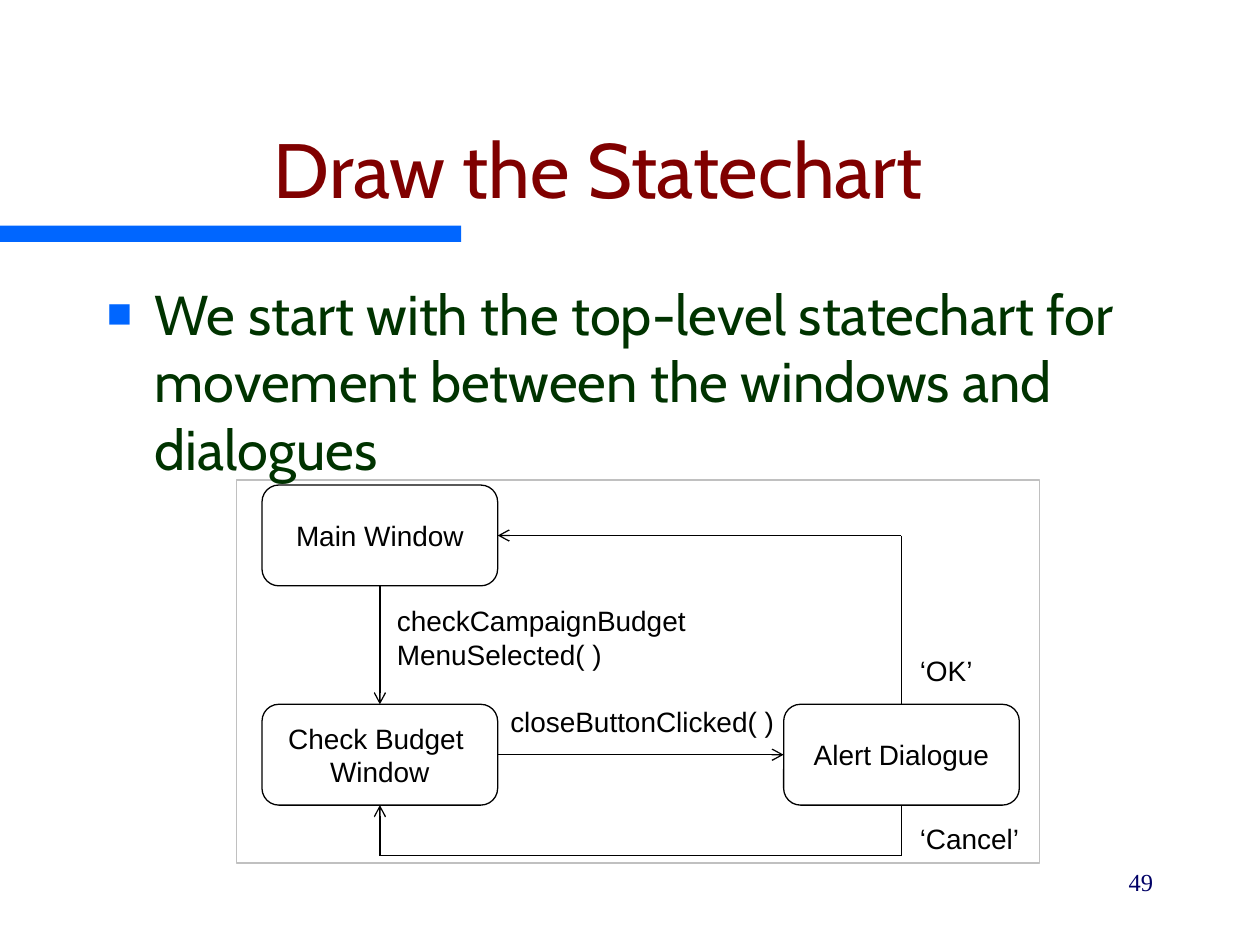
from itertools import pairwise
from lxml import etree
from pptx import Presentation
from pptx import util as u
from pptx.dml.color import RGBColor
from pptx.enum import shapes, text
from pptx.oxml.ns import qn

COLOURS = {"accent": "0066FF", "title": "800000", "body": "003300", "number": "000066",
           "ink": "000000", "paper": "FFFFFF", "frame": "C0C0C0"}
TITLE = "Draw the Statechart"
BULLET = "We start with the top-level statechart for movement between the windows and dialogues"
NUMBER = "49"

STATE_W, STATE_H = 1.87, 0.8
STATES = {
    "main": ("Main Window", 2.08, 3.85),
    "check": ("Check Budget \vWindow", 2.08, 5.59),
    "alert": ("Alert Dialogue", 6.22, 5.59),
}
TOP, LEFT, BOTTOM, RIGHT = range(4)
CHECK_X, ALERT_X = (STATES[key][1] + STATE_W / 2 for key in ("check", "alert"))
MAIN_Y = STATES["main"][2] + STATE_H / 2
CANCEL_Y = 6.79
TRANSITIONS = [
    (("main", BOTTOM), [], ("check", TOP)),
    (("check", RIGHT), [], ("alert", LEFT)),
    (("alert", TOP), [(ALERT_X, MAIN_Y)], ("main", RIGHT)),
    (("alert", BOTTOM), [(ALERT_X, CANCEL_Y), (CHECK_X, CANCEL_Y)], ("check", BOTTOM)),
]
EVENTS = [
    ("checkCampaignBudget\nMenuSelected( )", 3.15, 4.79, 2.29, 0.53),
    ("closeButtonClicked( )", 4.05, 5.59, 2.1, 0.27),
    ("‘OK’", 7.3, 5.19, 0.42, 0.27),
    ("‘Cancel’", 7.3, 6.52, 0.79, 0.27),
]


def rgb(name):
    return RGBColor.from_string(COLOURS[name])


def lengths(*values):
    return [u.Inches(value) for value in values]


def write(shape, words, size, font, colour, align=text.PP_ALIGN.LEFT,
          anchor=text.MSO_ANCHOR.TOP, wrap=True, inset=(0.1, 0.05)):
    frame = shape.text_frame
    frame.text = words
    frame.auto_size = text.MSO_AUTO_SIZE.NONE
    frame.word_wrap = wrap
    frame.vertical_anchor = anchor
    frame.margin_left = frame.margin_right = u.Inches(inset[0])
    frame.margin_top = frame.margin_bottom = u.Inches(inset[1])
    for paragraph in frame.paragraphs:
        paragraph.alignment = align
        paragraph.font.size = u.Pt(size)
        paragraph.font.name = font
        paragraph.font.color.rgb = rgb(colour)
    return frame.paragraphs[0]


def add_box(slide, kind, box, fill, line=None):
    shape = slide.shapes.add_shape(kind, *lengths(*box))
    shape.shadow.inherit = False
    shape.fill.solid()
    shape.fill.fore_color.rgb = rgb(fill)
    if line:
        shape.line.color.rgb = rgb(line)
        shape.line.width = u.Pt(0.75)
    else:
        shape.line.fill.background()
    return shape


def add_bullet(paragraph):
    paragraph.space_before = u.Pt(8)
    props = paragraph._p.get_or_add_pPr()
    props.set("marL", str(u.Inches(0.38)))
    props.set("indent", str(u.Inches(-0.38)))
    marks = []
    colour = etree.Element(qn("a:buClr"))
    etree.SubElement(colour, qn("a:srgbClr"), val=COLOURS["accent"])
    marks.append(colour)
    marks.append(etree.Element(qn("a:buSzPct"), val="75000"))
    marks.append(etree.Element(qn("a:buFont"), typeface="Arial"))
    marks.append(etree.Element(qn("a:buChar"), char="■"))
    place = props.index(props.find(qn("a:spcBef"))) + 1
    props[place:place] = marks


def site(end):
    key, side = end
    _, left, top = STATES[key]
    dx, dy = [(0.5, 0), (0, 0.5), (0.5, 1), (1, 0.5)][side]
    return left + dx * STATE_W, top + dy * STATE_H


def add_transition(slide, boxes, start, bends, end):
    points = [site(start), *bends, site(end)]
    legs = []
    for a, b in pairwise(points):
        leg = slide.shapes.add_connector(shapes.MSO_CONNECTOR.STRAIGHT, *lengths(*a, *b))
        leg.line.color.rgb = rgb("ink")
        leg.line.width = u.Pt(0.75)
        etree.SubElement(leg._element.spPr, qn("a:effectLst"))
        legs.append(leg)
    legs[0].begin_connect(boxes[start[0]], start[1])
    legs[-1].end_connect(boxes[end[0]], end[1])
    etree.SubElement(legs[-1].line._get_or_add_ln(), qn("a:tailEnd"), type="arrow")


def main():
    deck = Presentation()
    deck.slide_width, deck.slide_height = lengths(10, 7.5)
    slide = deck.slides.add_slide(deck.slide_layouts[5])
    rect = shapes.MSO_SHAPE.RECTANGLE

    title = slide.shapes.title
    title.left, title.top, title.width, title.height = lengths(0.25, 0.5, 9, 1.25)
    write(title, TITLE, 44, "Cabin", "title", text.PP_ALIGN.CENTER, text.MSO_ANCHOR.BOTTOM)

    add_box(slide, rect, (0, 1.79, 3.66, 0.13), "accent")
    add_box(slide, rect, (1.88, 3.81, 6.37, 3.04), "paper", "frame")

    body = slide.shapes.add_textbox(*lengths(0.75, 2.17, 8.5, 4.5))
    add_bullet(write(body, BULLET, 32, "Cabin", "body"))

    boxes = {}
    for key, (label, left, top) in STATES.items():
        boxes[key] = add_box(slide, shapes.MSO_SHAPE.ROUNDED_RECTANGLE,
                             (left, top, STATE_W, STATE_H), "paper", "ink")
        write(boxes[key], label, 16, "Arial", "ink", text.PP_ALIGN.CENTER,
              text.MSO_ANCHOR.MIDDLE, wrap=False)
    for transition in TRANSITIONS:
        add_transition(slide, boxes, *transition)
    for label, *box in EVENTS:
        event = slide.shapes.add_textbox(*lengths(*box))
        write(event, label, 16, "Arial", "ink", wrap=False, inset=(0, 0))

    number = slide.shapes.add_textbox(*lengths(7.17, 6.83, 2.08, 0.5))
    paragraph = write(number, NUMBER, 14, "Times New Roman", "number", text.PP_ALIGN.RIGHT)
    paragraph.space_before = u.Pt(8.8)

    deck.save("out.pptx")


if __name__ == "__main__":
    main()
